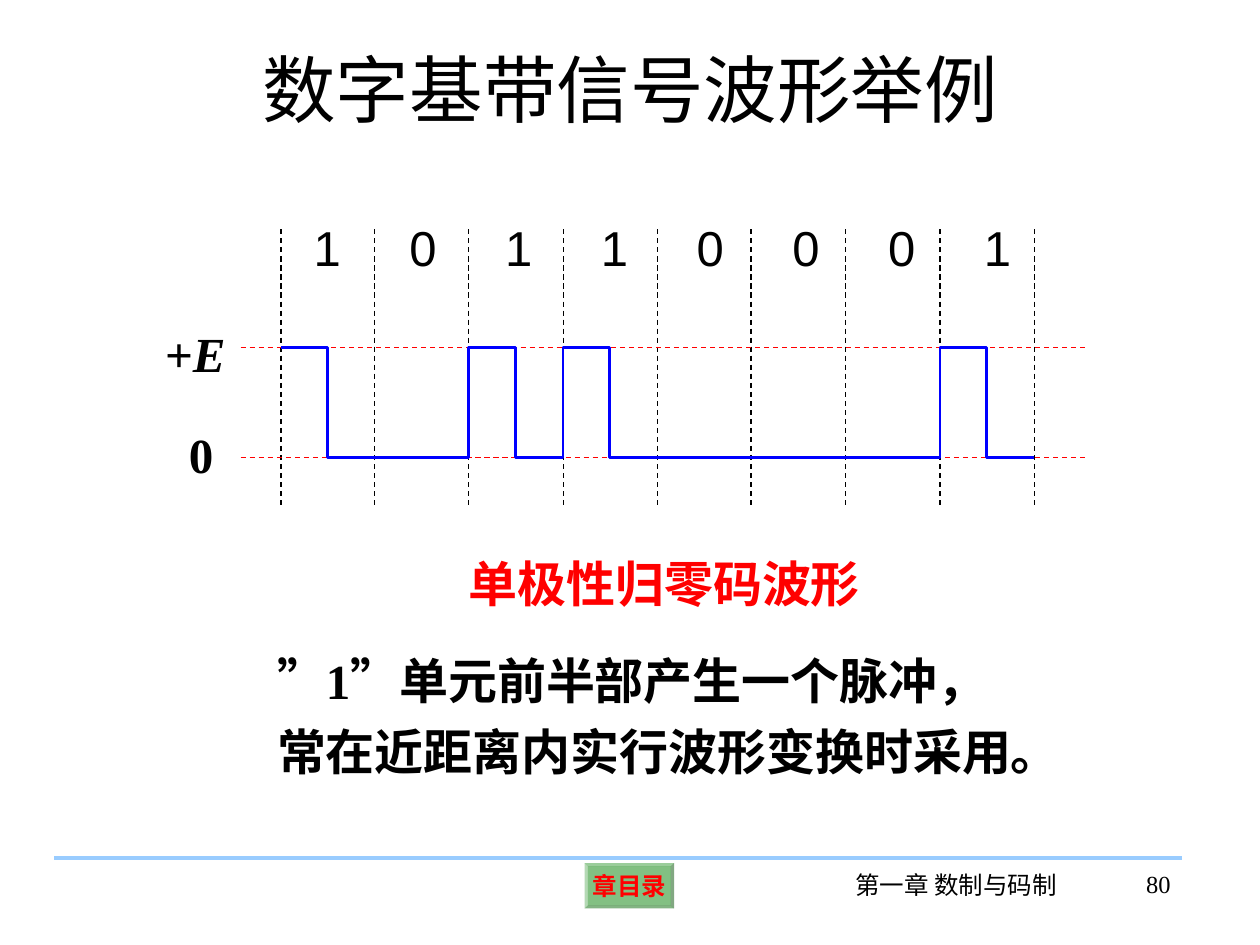
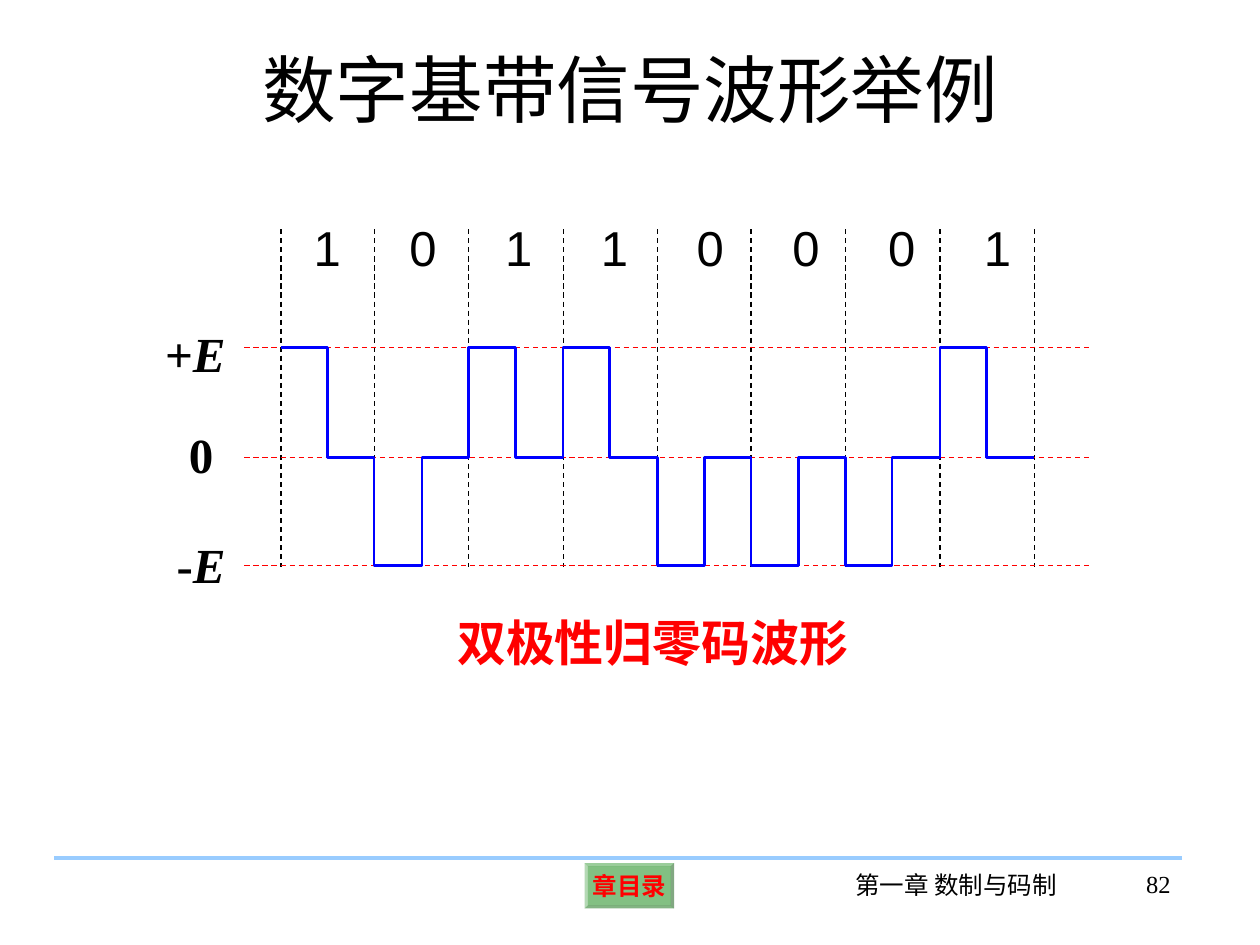
import pptx
import pptx.util
from pptx.dml.color import RGBColor
from pptx.enum.dml import MSO_LINE
from pptx.enum.shapes import MSO_CONNECTOR, MSO_SHAPE
from pptx.enum.text import MSO_ANCHOR, MSO_AUTO_SIZE, PP_ALIGN
from pptx.oxml.ns import qn
from lxml import etree

PX = 9144  # EMU per px, 100 px to the inch
BLACK = RGBColor(0x00, 0x00, 0x00)
RED = RGBColor(0xFF, 0x00, 0x00)
BLUE = RGBColor(0x00, 0x00, 0xFF)
GREEN = RGBColor(0x00, 0x80, 0x00)
SKY = RGBColor(0x99, 0xCC, 0xFF)

# Formats of the text roles
TITLE = dict(size=42, color=BLACK)
FOOTER = dict(size=14, color=BLACK)
BUTTON = dict(size=14, bold=True, color=RED)
BITS = dict(size=28, name="Arial", color=BLACK)
LEVEL = dict(size=28, bold=True, color=BLACK)
CAPTION = dict(size=28, bold=True, color=RED)

# Timing grid of the waveforms
BIT_ROW = "10110001"
GRID_LEFT, GRID_TOP, GRID_WIDTH = 223, 182, 598
LEVEL_Y = {1: 276, 0: 363, -1: 449}
DIGIT_PITCH = 76


def grid_x(half_cells):
    return GRID_LEFT + GRID_WIDTH * half_cells // (2 * len(BIT_ROW))


class Deck:
    def __init__(self):
        self.prs = pptx.Presentation()
        self.prs.slide_width, self.prs.slide_height = 1000 * PX, 750 * PX
        self.s = None

    def new_slide(self, title, number):
        self.s = self.prs.slides.add_slide(self.prs.slide_layouts[5])
        sp = self.s.shapes.title
        self.place(sp, 50, 30, 900, 125)
        self.fill_text(sp, [(title, {})], TITLE, align=PP_ALIGN.CENTER)
        # Footer band
        self.button("章目录", 464, 685, 71, 36)
        self.line(43, 681, 938, 681, SKY, 2.25)
        self.text("第一章 数制与码制", 666, 686, 186, 50, FOOTER, align=PP_ALIGN.CENTER)
        self.text(number, 853, 685, 86, 50, FOOTER, align=PP_ALIGN.RIGHT)

    def place(self, sp, *box):
        for name, value in zip(("left", "top", "width", "height"), box):
            setattr(sp, name, value * PX)

    def fill_text(self, sp, runs, fmt, align=PP_ALIGN.LEFT, wrap=True, spacing=None,
                  anchor=MSO_ANCHOR.TOP, tabs=()):
        tf = sp.text_frame
        tf.word_wrap, tf.vertical_anchor = wrap, anchor
        tf.auto_size = MSO_AUTO_SIZE.NONE
        p = tf.paragraphs[0]
        p.alignment = align
        if spacing:
            p.line_spacing = spacing
        if tabs:
            tab_list = etree.SubElement(p._p.get_or_add_pPr(), qn("a:tabLst"))
            for x in tabs:
                etree.SubElement(tab_list, qn("a:tab"), pos=str(x * PX), algn="l")
        for text, extra in runs:
            r = p.add_run()
            r.text = text
            for name, value in {"name": "Times New Roman", **fmt, **extra}.items():
                if name == "color":
                    r.font.color.rgb = value
                else:
                    setattr(r.font, name, pptx.util.Pt(value) if name == "size" else value)
        return tf

    def text(self, content, x, y, w, h, fmt, **options):
        sp = self.s.shapes.add_textbox(x * PX, y * PX, w * PX, h * PX)
        runs = [(content, {})] if isinstance(content, str) else content
        self.fill_text(sp, runs, fmt, **options)

    def line(self, x1, y1, x2, y2, color, width=0.75, dash=None):
        sp = self.s.shapes.add_connector(
            MSO_CONNECTOR.STRAIGHT, x1 * PX, y1 * PX, x2 * PX, y2 * PX)
        sp.line.color.rgb, sp.line.width = color, pptx.util.Pt(width)
        if dash:
            sp.line.dash_style = dash
        etree.SubElement(sp._element.spPr, qn("a:effectLst"))

    def button(self, label, x, y, w, h):
        sp = self.s.shapes.add_shape(MSO_SHAPE.BEVEL, x * PX, y * PX, w * PX, h * PX)
        sp.adjustments[0] = 0.07
        sp.shadow.inherit = False
        sp.fill.solid()
        sp.fill.fore_color.rgb = GREEN
        color = sp._element.spPr.find(qn("a:solidFill"))[0]
        etree.SubElement(color, qn("a:alpha"), val="49000")
        sp.line.fill.background()
        tf = self.fill_text(sp, [(label, {})], BUTTON, align=PP_ALIGN.CENTER,
                            wrap=False, anchor=MSO_ANCHOR.MIDDLE)
        for side in ("left", "right", "top", "bottom"):
            setattr(tf, f"margin_{side}", 4 * PX)

    def polyline(self, points, color, width):
        fb = self.s.shapes.build_freeform(*points[0], scale=PX)
        fb.add_line_segments(points[1:], close=False)
        sp = fb.convert_to_shape()
        sp.shadow.inherit = False
        sp.fill.background()
        sp.line.color.rgb, sp.line.width = color, pptx.util.Pt(width)

    def grid(self, bottom, level_left, levels):
        for i in range(len(BIT_ROW) + 1):
            x = grid_x(2 * i)
            self.line(x, GRID_TOP, x, bottom, BLACK, dash=MSO_LINE.DASH)
        for level in levels:
            y = LEVEL_Y[level]
            self.line(level_left, y, level_left + 670, y, RED, dash=MSO_LINE.DASH)
        tabs = [DIGIT_PITCH * i for i in range(1, len(BIT_ROW))]
        self.text("\t".join(BIT_ROW), 239, 168, 638, 57, BITS, tabs=tabs)

    def level_label(self, content, x, y, w):
        self.text(content, x, y, w, 57, LEVEL, align=PP_ALIGN.CENTER, wrap=False)

    def waveform(self, pulse):
        """Return-to-zero: each bit pulses for half a cell, then rests at 0."""
        points = []
        for i, bit in enumerate(BIT_ROW):
            for half, level in enumerate((pulse[bit], 0)):
                y = LEVEL_Y[level]
                points += [(grid_x(2 * i + half), y), (grid_x(2 * i + half + 1), y)]
        self.polyline(points, BLUE, 1.5)

    def rz_slide(self, number, pulse, bottom, level_left):
        self.new_slide("数字基带信号波形举例", number)
        self.grid(bottom, level_left, sorted({0, *pulse.values()}, reverse=True))
        self.waveform(pulse)
        self.level_label([("+", {}), ("E", {"italic": True})], 121, 252, 68)
        self.level_label("0", 140, 332, 39)


def main():
    deck = Deck()

    # Unipolar return-to-zero
    deck.rz_slide("80", {"1": 1, "0": 0}, 402, 191)
    deck.text("单极性归零码波形", 362, 434, 330, 57, CAPTION, wrap=False)
    deck.text("”1”单元前半部产生一个脉冲，常在近距离内实行波形变换时采用。",
              210, 502, 609, 122, LEVEL, spacing=1.2)

    # Bipolar return-to-zero
    deck.rz_slide("82", {"1": 1, "0": -1}, 450, 194)
    deck.level_label([("-", {}), ("E", {"italic": True})], 130, 419, 59)
    deck.text("双极性归零码波形", 353, 481, 330, 57, CAPTION, wrap=False)

    deck.prs.save("out.pptx")


if __name__ == "__main__":
    main()
